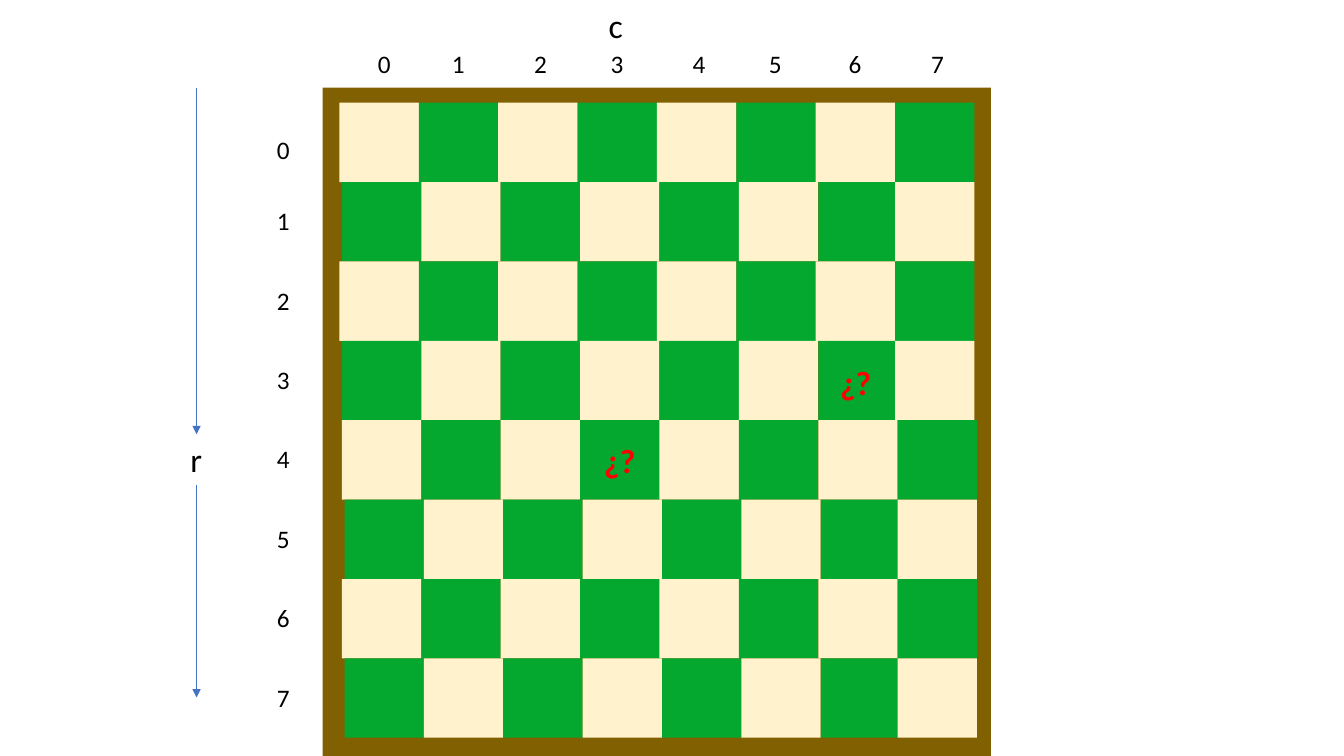
from dataclasses import dataclass

import lxml.etree
import pptx
import pptx.dml.color
import pptx.enum.shapes
import pptx.enum.text
import pptx.oxml.ns
import pptx.util

Pt = pptx.util.Pt
PP_ALIGN = pptx.enum.text.PP_ALIGN

COLORS = {
    "frame": "806000",
    "light": "FFF2CC",
    "dark": "04A82F",
    "mark": "FF0000",
    "text": "000000",
    "arrow": "4472C4",
}
FONT = "Calibri"
SIZE = 8
SQUARE = 56.7
BOARD_LEFT, BOARD_TOP = 242.5, 73.4
SHIFT = 1.8
ROW_LABEL_TOPS = [92.2] + [86.6 + SQUARE * row for row in range(1, SIZE)]
COLUMN_LABEL_LEFTS = [262.8, 315.7, 374.4, 429.1, 487.7, 542.2, 599.1, 658.1]
MARKED_SQUARE = (4, 3)
MARK = "¿?"


@dataclass
class Label:
    text: str
    left: float
    top: float
    width: float = 23.7
    height: float = 29.1
    size: float = 18
    color: str = "text"
    bold: bool = False
    wrap: bool = False
    align: PP_ALIGN = PP_ALIGN.LEFT


def color_of(name: str) -> pptx.dml.color.RGBColor:
    return pptx.dml.color.RGBColor.from_string(COLORS[name])


def write(shape, text: str, size: float, color: str, bold: bool, align: PP_ALIGN) -> None:
    paragraph = shape.text_frame.paragraphs[0]
    paragraph.text = text
    paragraph.alignment = align
    paragraph.font.name = FONT
    paragraph.font.size = Pt(size)
    paragraph.font.bold = bold
    paragraph.font.color.rgb = color_of(color)


def add_rectangle(shapes, left: float, top: float, side: float, color: str):
    shape = shapes.add_shape(
        pptx.enum.shapes.MSO_SHAPE.RECTANGLE, Pt(left), Pt(top), Pt(side), Pt(side))
    shape.shadow.inherit = False
    shape.fill.solid()
    shape.fill.fore_color.rgb = color_of(color)
    shape.line.fill.background()
    return shape


def add_label(shapes, label: Label):
    box = shapes.add_textbox(Pt(label.left), Pt(label.top), Pt(label.width), Pt(label.height))
    box.text_frame.word_wrap = label.wrap
    box.text_frame.auto_size = pptx.enum.text.MSO_AUTO_SIZE.SHAPE_TO_FIT_TEXT
    write(box, label.text, label.size, label.color, label.bold, label.align)
    return box


def add_arrow(shapes, x: float, top: float, bottom: float):
    arrow = shapes.add_connector(
        pptx.enum.shapes.MSO_CONNECTOR.STRAIGHT, Pt(x), Pt(top), Pt(x), Pt(bottom))
    arrow.line.width = Pt(0.5)
    arrow.line.color.rgb = color_of("arrow")
    qualified = pptx.oxml.ns.qn
    lxml.etree.SubElement(arrow.line._get_or_add_ln(), qualified("a:tailEnd"), type="triangle")
    lxml.etree.SubElement(arrow._element.spPr, qualified("a:effectLst"))
    return arrow


def add_board(shapes) -> None:
    """Odd rows sit slightly to the right, except in the last column, as does the lower half."""
    add_rectangle(shapes, 230.4, 62.6, 477.4, "frame")
    squares = shapes.add_group_shape().shapes
    for row in range(SIZE):
        for column in range(SIZE):
            shift = SHIFT * (row >= SIZE // 2)
            if column < SIZE - 1:
                shift += SHIFT * (row % 2)
            square = add_rectangle(
                squares, BOARD_LEFT + column * SQUARE + shift, BOARD_TOP + row * SQUARE,
                SQUARE, "dark" if (row + column) % 2 else "light")
            if (row, column) == MARKED_SQUARE:
                square.text_frame.vertical_anchor = pptx.enum.text.MSO_ANCHOR.MIDDLE
                write(square, MARK, 24, "mark", True, PP_ALIGN.CENTER)


def main() -> None:
    presentation = pptx.Presentation()
    presentation.slide_width, presentation.slide_height = Pt(960), Pt(540)
    shapes = presentation.slides.add_slide(presentation.slide_layouts[6]).shapes

    add_board(shapes)
    for index, (top, left) in enumerate(zip(ROW_LABEL_TOPS, COLUMN_LABEL_LEFTS)):
        add_label(shapes, Label(str(index), 190.8, top))
        add_label(shapes, Label(str(index), left, 30.6))
    row_name = add_label(shapes, Label("r", 128.9, 310.2, 23, 36.4, size=24))
    add_label(shapes, Label("c", 427.7, 0, 24.5, 36.4, size=24))
    add_label(shapes, Label(MARK, 588.2, 255, 46, 36.4, size=24, color="mark",
                            bold=True, wrap=True, align=PP_ALIGN.CENTER))

    add_arrow(shapes, 140.4, 62.6, 310.2).end_connect(row_name, 0)
    add_arrow(shapes, 140.4, 346.6, 498.2).begin_connect(row_name, 2)
    presentation.save("out.pptx")


if __name__ == "__main__":
    main()
